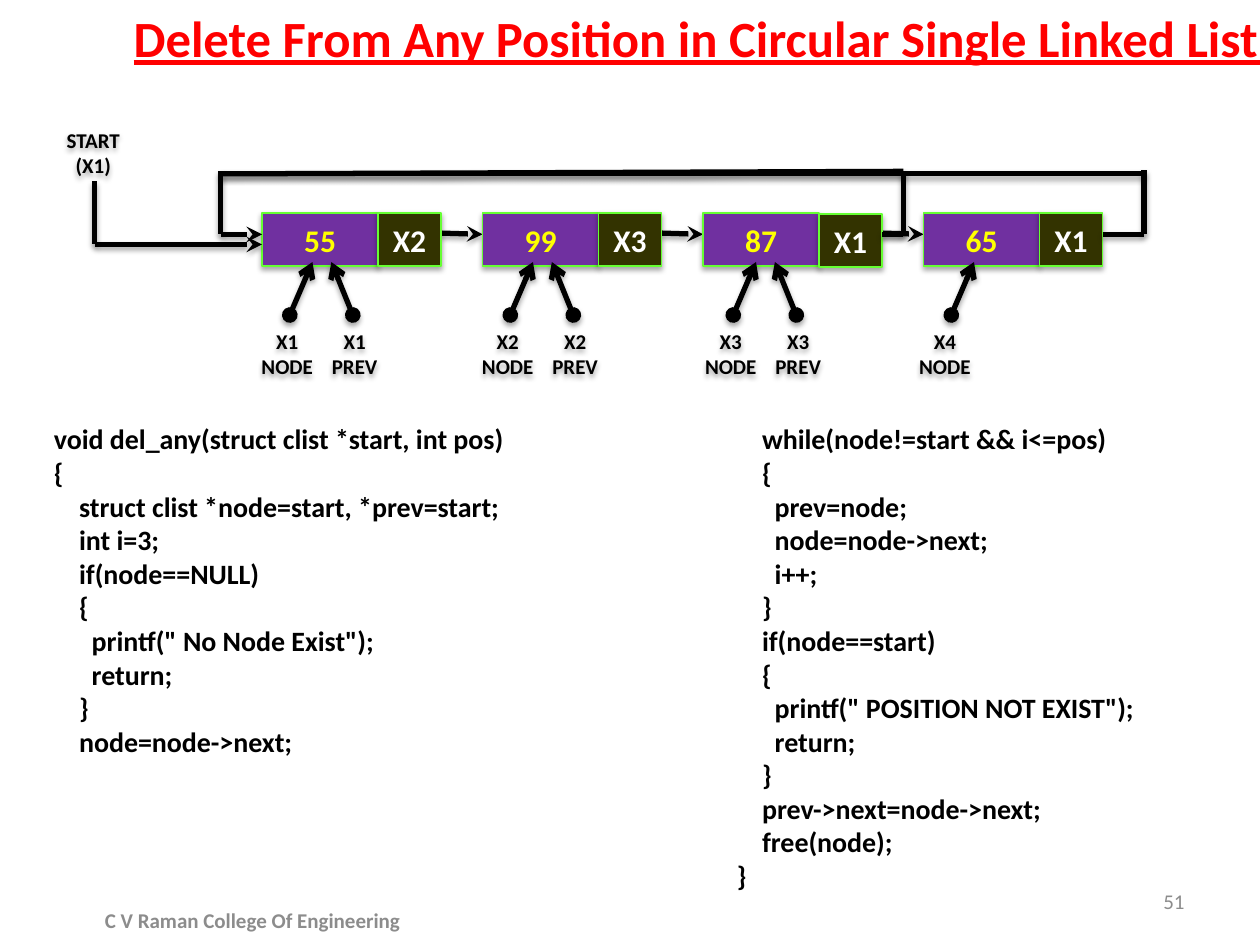
from dataclasses import dataclass

from lxml.etree import SubElement
from pptx import Presentation
from pptx.dml.color import RGBColor
from pptx.enum.shapes import MSO_CONNECTOR, MSO_SHAPE
from pptx.enum.text import MSO_ANCHOR, MSO_AUTO_SIZE, PP_ALIGN
from pptx.oxml.ns import qn
from pptx.util import Pt

PX = 9144  # EMU per px, 100 px to the inch
BLACK = RGBColor(0x00, 0x00, 0x00)
WHITE = RGBColor(0xFF, 0xFF, 0xFF)
RED = RGBColor(0xFF, 0x00, 0x00)
YELLOW = RGBColor(0xFF, 0xFF, 0x00)
PURPLE = RGBColor(0x70, 0x30, 0xA0)
OLIVE = RGBColor(0x33, 0x33, 0x00)
GREEN = RGBColor(0x66, 0xFF, 0x33)
GRAY = RGBColor(0x8C, 0x8C, 0x8C)

FIRST, STEP = 208, 175
TOP, HIGH = 169, 42
DATA, LINK = 92, 50
MID = 186


@dataclass
class Node:
    value: str
    link: str
    name: str
    drop: int = 0
    tilt: int = 0
    shift: int = 0
    prev: bool = True


@dataclass
class Line:
    start: tuple[int, int]
    end: tuple[int, int]
    tail: str = ""
    head: str = ""


NODES = [
    Node("55", "X2", "X1"),
    Node("99", "X3", "X2"),
    Node("87", "X1", "X3", drop=1, tilt=2, shift=2),
    Node("65", "X1", "X4", shift=-3, prev=False),
]

LOOPS = [
    Line((175, 138), (908, 138)),
    Line((908, 135), (908, MID)),
    Line((875, MID), (908, MID)),
    Line((75, 144), (75, 194)),
    Line((75, 194), (FIRST, 194), "stealth"),
    Line((175, 138), (717, 136)),
    Line((175, 136), (175, MID)),
    Line((717, 136), (717, MID)),
    Line((175, MID), (FIRST, MID), "stealth"),
    Line((700, MID), (717, MID)),
]

LEFT = """void del_any(struct clist *start, int pos)
{
    struct clist *node=start, *prev=start;
    int i=3;
    if(node==NULL)
    {
      printf(" No Node Exist");
      return;
    }
    node=node->next;"""

RIGHT = """    while(node!=start && i<=pos)
    {
      prev=node;
      node=node->next;
      i++;
    }
    if(node==start)
    {
      printf(" POSITION NOT EXIST");
      return;
    }
    prev->next=node->next;
    free(node);
}"""


def scale(*px: int) -> list[int]:
    return [n * PX for n in px]


def shade(shape) -> None:
    """Give the shape a soft shadow straight below it."""
    props = shape._element.spPr
    for old in props.findall(qn("a:effectLst")):
        props.remove(old)
    glow = SubElement(SubElement(props, qn("a:effectLst")), qn("a:outerShdw"),
                      blurRad="39370", dist="22860", dir="5400000", rotWithShape="0")
    tint = SubElement(glow, qn("a:srgbClr"), val="000000")
    SubElement(tint, qn("a:alpha"), val="35000")


def write(shape, text: str, size: int, color: RGBColor, align=PP_ALIGN.CENTER,
          anchor=MSO_ANCHOR.MIDDLE, bold: bool = True, wrap: bool = True) -> None:
    frame = shape.text_frame
    frame.text = text
    frame.word_wrap = wrap
    frame.auto_size = MSO_AUTO_SIZE.NONE
    frame.vertical_anchor = anchor
    for para in frame.paragraphs:
        para.alignment = align
        font = para.font
        font.name, font.size, font.bold = "Calibri", Pt(size), bold
        font.color.rgb = color


def draw_line(slide, line: Line) -> None:
    wire = slide.shapes.add_connector(
        MSO_CONNECTOR.STRAIGHT, *scale(*line.start, *line.end))
    wire.line.color.rgb = BLACK
    wire.line.width = Pt(3)
    stroke = wire.line._get_or_add_ln()
    if line.head:
        SubElement(stroke, qn("a:headEnd"), type=line.head)
    if line.tail:
        SubElement(stroke, qn("a:tailEnd"), type=line.tail)
    shade(wire)


def draw_cell(slide, left: int, top: int, wide: int, text: str,
              fill: RGBColor, color: RGBColor) -> None:
    cell = slide.shapes.add_shape(MSO_SHAPE.RECTANGLE, *scale(left, top, wide, HIGH))
    cell.fill.solid()
    cell.fill.fore_color.rgb = fill
    cell.line.color.rgb = GREEN
    cell.line.width = Pt(1)
    shade(cell)
    write(cell, text, 18, color)


def draw_label(slide, left: int, top: int, wide: int, high: int, text: str) -> None:
    label = slide.shapes.add_shape(MSO_SHAPE.OVAL, *scale(left, top, wide, high))
    label.fill.background()
    label.line.fill.background()
    shade(label)
    write(label, text, 12, BLACK, wrap=False)


def draw_node(slide, node: Node, left: int) -> None:
    draw_cell(slide, left, TOP, DATA, node.value, PURPLE, YELLOW)
    draw_cell(slide, left + DATA, TOP + node.drop, LINK, node.link, OLIVE, WHITE)
    foot, edge = left + node.tilt, left + node.shift
    draw_label(slide, edge - 30, 261, 100, 39, f"{node.name}\nNODE")
    draw_line(slide, Line((foot + 22, 250), (foot + 40, 208), "arrow", "oval"))
    if node.prev:
        draw_label(slide, edge + 32, 261, 83, 39, f"{node.name}\nPREV")
        draw_line(slide, Line((foot + 72, 250), (foot + 55, 208), "arrow", "oval"))


def add_text(slide, box: tuple[int, int, int, int], text: str, size: int,
             color: RGBColor, **look) -> None:
    write(slide.shapes.add_textbox(*scale(*box)), text, size, color, **look)


def main() -> None:
    deck = Presentation()
    deck.slide_width, deck.slide_height = scale(1000, 750)
    slide = deck.slides.add_slide(deck.slide_layouts[5])

    title = slide.shapes.title
    title.left, title.top, title.width, title.height = scale(96, 0, 952, 61)
    write(title, "Delete From Any Position in Circular Single Linked List", 29, RED,
          align=PP_ALIGN.LEFT, anchor=MSO_ANCHOR.TOP, wrap=False)
    title.text_frame.paragraphs[0].font.underline = True

    for box, code in (((33, 330, 417, 279), LEFT), ((575, 330, 417, 387), RIGHT)):
        add_text(slide, box, code, 16, BLACK, align=PP_ALIGN.LEFT, anchor=MSO_ANCHOR.TOP)

    draw_label(slide, 28, 100, 92, 42, "START\v(X1)")
    lefts = [FIRST + STEP * i for i in range(len(NODES))]
    for left in lefts[1:]:
        draw_line(slide, Line((left - STEP + DATA + LINK, MID - 1), (left, MID), "stealth"))
    for node, left in zip(NODES, lefts):
        draw_node(slide, node, left)
    for line in LOOPS:
        draw_line(slide, line)

    add_text(slide, (717, 695, 233, 40), "51", 12, GRAY, align=PP_ALIGN.RIGHT, bold=False)
    add_text(slide, (67, 710, 267, 40), "C V Raman College Of Engineering", 12, GRAY)
    deck.save("out.pptx")


if __name__ == "__main__":
    main()
